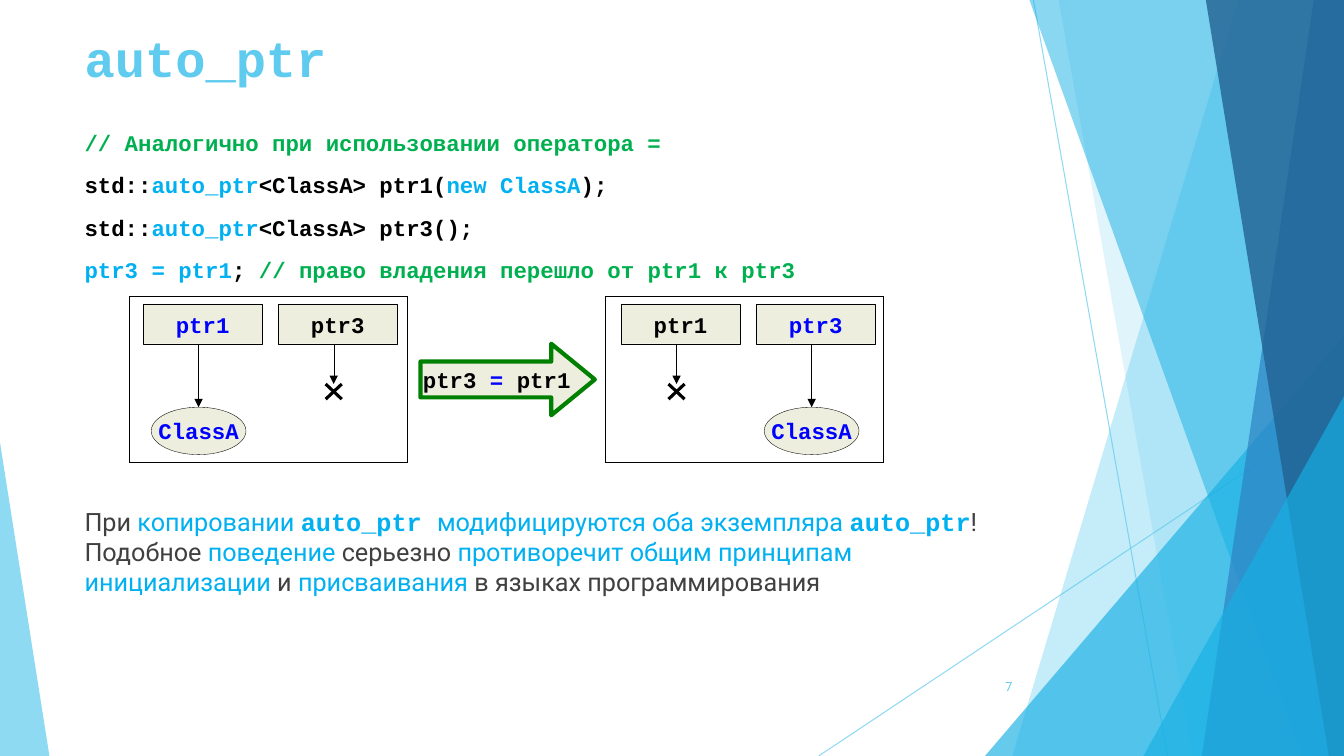
from dataclasses import dataclass

from lxml import etree
from pptx import Presentation
from pptx.dml.color import RGBColor
from pptx.enum.dml import MSO_LINE
from pptx.enum.shapes import MSO_CONNECTOR, MSO_SHAPE as SHAPE
from pptx.enum.text import MSO_ANCHOR as ANCHOR, PP_ALIGN as ALIGN
from pptx.oxml.ns import qn
from pptx.util import Inches, Pt


@dataclass(frozen=True)
class Theme:
    sky: str = "5FCBEF"
    azure: str = "17B0E4"
    blue: str = "2E83C3"
    navy: str = "226292"
    accent: str = "00B0F0"
    comment: str = "00B050"
    owner: str = "0000FF"
    black: str = "000000"
    gray: str = "404040"
    node: str = "EEEEDE"
    arrow: str = "008000"
    code: str = "Courier New"
    body: str = "Roboto"
    title_pt: float = 36
    text_pt: float = 18
    code_pt: float = 16
    number_pt: float = 9
    hair: float = 0.25
    cross: float = 2.25


T = Theme()
W, H = 13.33, 7.5

# Content: a run is (text, colour) or (text, colour, font)
TITLE = [[("auto_ptr", T.sky)]]
CODE = [
    [("// Аналогично при использовании оператора =", T.comment)],
    [("std::", T.black), ("auto_ptr", T.accent), ("<ClassA> ptr1(", T.black),
     ("new ClassA", T.accent), (");", T.black)],
    [("std::", T.black), ("auto_ptr", T.accent), ("<ClassA> ptr3();", T.black)],
    [("ptr3 = ptr1", T.accent), ("; ", T.black),
     ("// право владения перешло от ptr1 к ptr3", T.comment)],
]
REMARK = [[
    ("При ", T.gray), ("копировании ", T.accent), ("auto_ptr ", T.accent, T.code),
    ("модифицируются оба экземпляра ", T.accent), ("auto_ptr", T.accent, T.code),
    ("! Подобное ", T.gray), ("поведение", T.accent), (" серьезно ", T.gray),
    ("противоречит общим принципам инициализации", T.accent), (" и ", T.gray),
    ("присваивания", T.accent), (" в языках программирования", T.gray),
]]
ASSIGNMENT = [[("ptr3 ", T.black), ("=", T.owner), (" ptr1", T.black)]]
POINTERS = ["ptr1", "ptr3"]
PANELS = [(1.28, 0.14, "ptr1"), (6.0, 0.16, "ptr3")]  # left, inset, owner

# Decoration: (top left x, bottom left x, colour, opacity), each reaching the right edge
BANDS_BACK = [(12.28, 10.04, T.sky, 36), (10.5, 11.83, T.sky, 20)]
BANDS_FRONT = [(10.21, 12.91, T.azure, 50), (13.03, 11.92, T.blue, 70),
               (11.96, 13.18, T.navy, 80)]
# (left, width, height, apex, colour, opacity), each standing on the bottom edge
WEDGE_BACK = (9.77, 3.56, 4.17, 1, T.azure, 66)
WEDGES_FRONT = [(11.34, 1.99, 3.57, 1, T.azure, 66), (0, 0.49, 3.11, 0, T.sky, 70)]
RAYS = [(10.25, 0, 11.58, H), (W, 4.03, 8.12, H)]

prs = Presentation()
prs.slide_width, prs.slide_height = Inches(W), Inches(H)
s = prs.slides.add_slide(prs.slide_layouts[6])


def rgb(color):
    return RGBColor.from_string(color)


def set_opacity(shape, percent):
    for clr in shape._element.spPr.iter(qn("a:srgbClr")):
        etree.SubElement(clr, qn("a:alpha")).set("val", str(percent * 1000))


def paint(sp, fill=None, line=None, width=T.hair):
    sp.shadow.inherit = False
    if fill:
        sp.fill.solid()
        sp.fill.fore_color.rgb = rgb(fill)
    else:
        sp.fill.background()
    if line:
        sp.line.color.rgb = rgb(line)
        sp.line.width = Pt(width)
    else:
        sp.line.fill.background()


def write(sp, paragraphs, size, font=T.code, align=ALIGN.LEFT, anchor=ANCHOR.TOP,
          wrap=True, gap=0):
    tf = sp.text_frame
    tf.word_wrap, tf.vertical_anchor = wrap, anchor
    for i, runs in enumerate(paragraphs):
        p = tf.add_paragraph() if i else tf.paragraphs[0]
        p.alignment = align
        p.space_before = Pt(gap if i else 0)
        for text, color, *own in runs:
            r = p.add_run()
            r.text = text
            r.font.name = own[0] if own else font
            r.font.size = Pt(size)
            r.font.bold = r.font.name == T.code
            r.font.color.rgb = rgb(color)


def add_text(x, y, w, h, paragraphs, size, **style):
    write(s.shapes.add_textbox(*map(Inches, (x, y, w, h))), paragraphs, size, **style)


def add_shape(kind, x, y, w, h, **look):
    sp = s.shapes.add_shape(kind, *map(Inches, (x, y, w, h)))
    paint(sp, **look)
    return sp


def add_node(kind, x, y, w, h, label, color):
    sp = add_shape(kind, x, y, w, h, fill=T.node, line=T.black)
    write(sp, [[(label, color)]], T.code_pt, align=ALIGN.CENTER, anchor=ANCHOR.MIDDLE,
          wrap=False)


def add_line(x1, y1, x2, y2, color=T.black, width=T.hair, head=False):
    c = s.shapes.add_connector(MSO_CONNECTOR.STRAIGHT, *map(Inches, (x1, y1, x2, y2)))
    c.line.color.rgb = rgb(color)
    c.line.width = Pt(width)
    if head:
        etree.SubElement(c.line._get_or_add_ln(), qn("a:tailEnd")).set("type", "triangle")
    etree.SubElement(c._element.spPr, qn("a:effectLst"))
    return c


def add_band(top, bottom, color, opacity):
    corners = [(round(x * 100), round(y * 100))
               for x, y in [(top, 0), (W, 0), (W, H), (bottom, H)]]
    builder = s.shapes.build_freeform(*corners[0], scale=Inches(0.01))
    builder.add_line_segments(corners[1:], close=True)
    sp = builder.convert_to_shape()
    paint(sp, fill=color)
    set_opacity(sp, opacity)


def add_wedge(left, width, height, apex, color, opacity):
    sp = add_shape(SHAPE.ISOSCELES_TRIANGLE, left, H - height, width, height, fill=color)
    sp.adjustments[0] = apex
    set_opacity(sp, opacity)


def add_panel(left, inset, owner):
    """Frame with both pointers: the owner points at the object, the other at nothing."""
    top, box_w, box_h, step, reach = 3.02, 1.18, 0.39, 1.34, 0.08
    frame = add_shape(SHAPE.RECTANGLE, left, 2.94, 2.76, 1.65, line=T.black)
    frame.line.dash_style = MSO_LINE.ROUND_DOT
    for i, name in enumerate(POINTERS):
        x, foot = left + inset + i * step, top + box_h
        axis = x + 0.55
        owns = name == owner
        add_node(SHAPE.RECTANGLE, x, top, box_w, box_h, name, T.owner if owns else T.black)
        end = 4.04 if owns else 3.81
        add_line(axis, foot, axis, end, head=True)
        if owns:
            add_node(SHAPE.OVAL, axis - 0.47, end, 0.94, 0.47, "ClassA", T.owner)
        else:
            for side in (-reach, reach):
                add_line(axis + side, end, axis - side, end + 0.15, width=T.cross)


for ray in RAYS:
    set_opacity(add_line(*ray, color=T.sky, width=0.75), 70)
for band in BANDS_BACK:
    add_band(*band)
add_wedge(*WEDGE_BACK)
for band in BANDS_FRONT:
    add_band(*band)
for wedge in WEDGES_FRONT:
    add_wedge(*wedge)

add_text(0.74, 0.22, 9.4, 0.8, TITLE, T.title_pt)
add_text(0.74, 1.23, 9.4, 1.65, CODE, T.code_pt, gap=11.2)
add_text(0.74, 4.97, 9.4, 1.1, REMARK, T.text_pt, font=T.body)
add_text(9.39, 6.61, 0.75, 0.4, [[("7", T.sky)]], T.number_pt, font=T.body,
         align=ALIGN.RIGHT, anchor=ANCHOR.MIDDLE)

arrow = add_shape(SHAPE.RIGHT_ARROW, 4.17, 3.41, 1.73, 0.71,
                  fill=T.node, line=T.arrow, width=3)
arrow.adjustments[0], arrow.adjustments[1] = 0.5, 0.61
write(arrow, ASSIGNMENT, T.code_pt, align=ALIGN.CENTER, anchor=ANCHOR.MIDDLE, wrap=False)
for panel in PANELS:
    add_panel(*panel)

prs.save("out.pptx")
